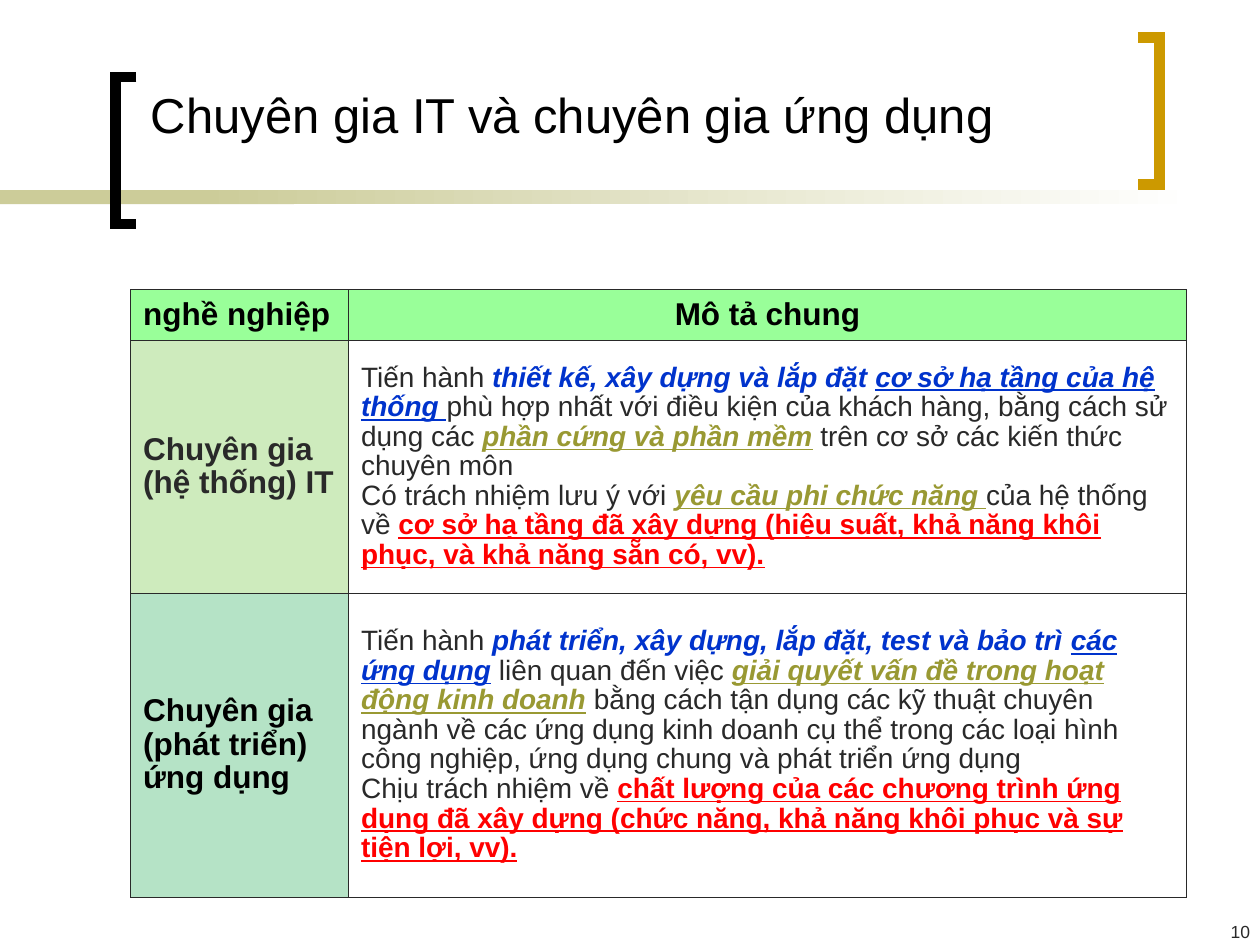
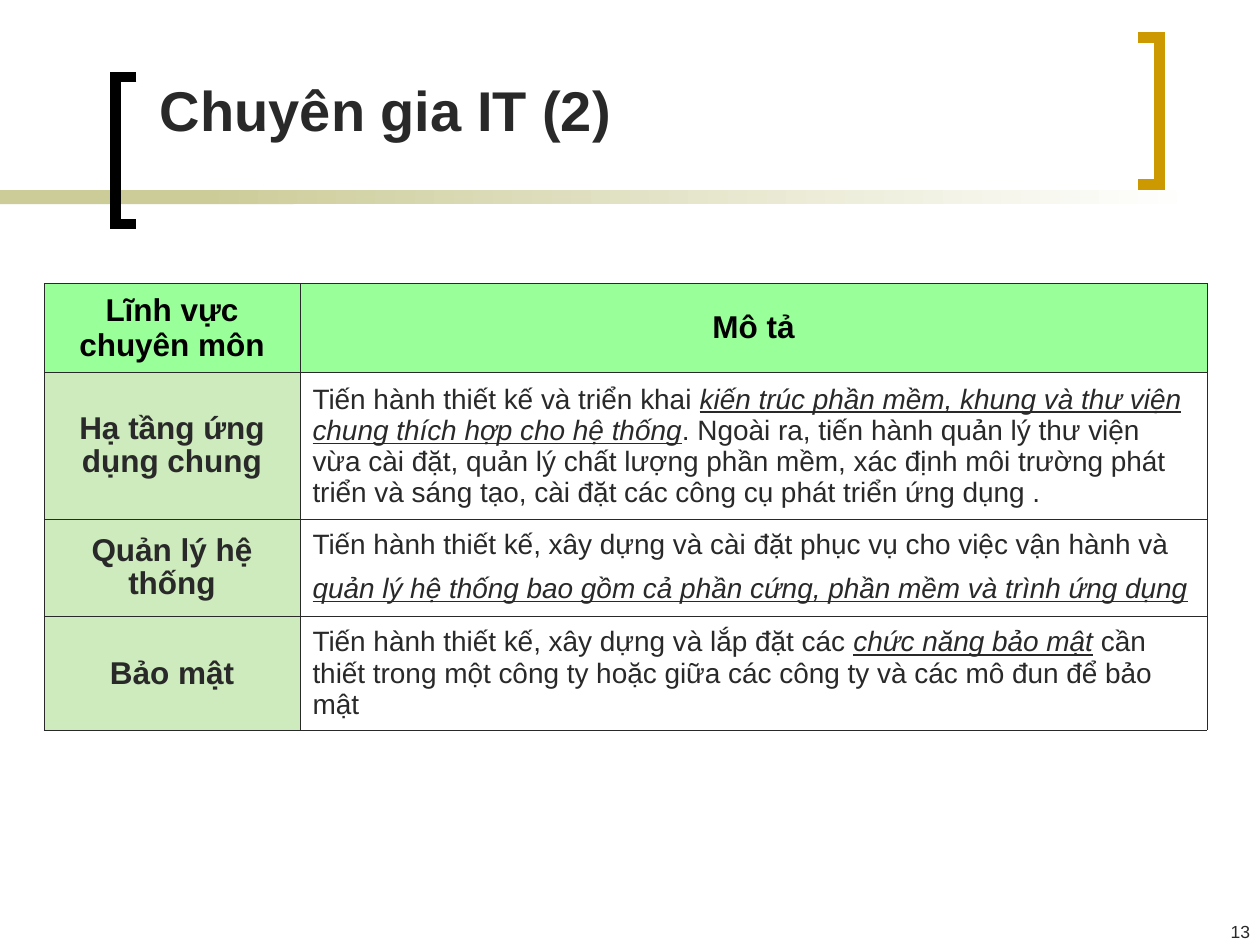
from dataclasses import dataclass
from lxml import etree
from pptx import Presentation
from pptx.dml.color import RGBColor
from pptx.enum.shapes import MSO_SHAPE
from pptx.enum.text import MSO_ANCHOR, MSO_AUTO_SIZE, PP_ALIGN
from pptx.oxml.ns import qn
from pptx.util import Pt

RECT = MSO_SHAPE.RECTANGLE
MIDDLE = MSO_ANCHOR.MIDDLE
NO_FIT = MSO_AUTO_SIZE.NONE
LEFT, CENTER, RIGHT = PP_ALIGN.LEFT, PP_ALIGN.CENTER, PP_ALIGN.RIGHT
TITLE_ONLY = 5


@dataclass(frozen=True)
class Theme:
    font: str = "Arial"
    black: str = "000000"
    ink: str = "292929"
    white: str = "FFFFFF"
    khaki: str = "CCCC99"
    gold: str = "CC9900"
    blue: str = "0033CC"
    olive: str = "999933"
    red: str = "FF0000"
    header: str = "99FF99"
    light_green: str = "CEEBBD"
    mint: str = "B5E3C6"
    title_size: int = 28
    big_title_size: int = 32
    tail_size: int = 24
    head_size: int = 18
    body_size: int = 16
    number_size: int = 10
    border: float = 0.45
    bracket: int = 6


T = Theme()

# Named looks of text runs; each overrides the base format of its cell
LOOKS = {
    "task": dict(color=T.blue, bold=True, italic=True),
    "object": dict(color=T.blue, bold=True, italic=True, underline=True),
    "key": dict(color=T.olive, bold=True, italic=True, underline=True),
    "duty": dict(color=T.red, bold=True, underline=True),
    "term": dict(italic=True, underline=True),
    "tail": dict(italic=True, underline=True, size=T.tail_size),
}


class Deck:
    def __init__(self, theme):
        self.t = theme
        self.prs = Presentation()
        self.prs.slide_width, self.prs.slide_height = Pt(720), Pt(540)

    def new_slide(self, number):
        self.s = self.prs.slides.add_slide(self.prs.slide_layouts[TITLE_ONLY])
        self.band(0, 168, self.t.khaki)
        self.band(114, 570, self.t.khaki, self.t.white)
        self.bracket(66, 44, 12, self.t.black)
        self.bracket(662.5, 21.5, -12, self.t.gold)
        self.page_number(number)

    def add_runs(self, p, runs, **base):
        """Fill a paragraph with plain strings and (text, look) pairs."""
        for run in runs:
            text, look = (run, None) if isinstance(run, str) else run
            r = p.add_run()
            r.text = text
            fmt = {"name": self.t.font, "color": self.t.ink, **base, **LOOKS.get(look, {})}
            fmt["size"] = Pt(fmt["size"])
            r.font.color.rgb = RGBColor.from_string(fmt.pop("color"))
            for name, value in fmt.items():
                setattr(r.font, name, value)

    def band(self, x, w, *colors):
        """Horizontal rule; two colours make a left-to-right fade."""
        sp = self.s.shapes.add_shape(RECT, Pt(x), Pt(108.7), Pt(w), Pt(8))
        sp.shadow.inherit = False
        sp.line.fill.background()
        if len(colors) == 1:
            sp.fill.solid()
            sp.fill.fore_color.rgb = RGBColor.from_string(colors[0])
            return
        sp.fill.gradient()
        sp.fill.gradient_angle = 0
        for stop, color in zip(sp.fill.gradient_stops, colors):
            stop.color.rgb = RGBColor.from_string(color)

    def bracket(self, x, y, arm, color, h=84):
        """Square bracket with its spine at x; the sign of arm is its side."""
        fb = self.s.shapes.build_freeform(Pt(x + arm), Pt(y))
        corners = [(x, y), (x, y + h), (x + arm, y + h)]
        fb.add_line_segments([(Pt(a), Pt(b)) for a, b in corners], close=False)
        sp = fb.convert_to_shape()
        sp.shadow.inherit = False
        sp.fill.background()
        sp.line.width = Pt(self.t.bracket)
        sp.line.color.rgb = RGBColor.from_string(color)
        ln = sp.element.spPr.find(qn("a:ln"))
        etree.SubElement(ln, qn("a:miter"), lim="800000")

    def page_number(self, number):
        tf = self.s.shapes.add_textbox(Pt(574), Pt(522.7), Pt(147.4), Pt(17.3)).text_frame
        tf.word_wrap = True
        p = tf.paragraphs[0]
        p.alignment = RIGHT
        self.add_runs(p, [str(number)], size=self.t.number_size)

    def title(self, text, box, align, **base):
        sp = self.s.shapes.title
        sp.left, sp.top, sp.width, sp.height = map(Pt, box)
        tf = sp.text_frame
        tf.auto_size, tf.vertical_anchor = NO_FIT, MIDDLE
        p = tf.paragraphs[0]
        p.alignment = align
        self.add_runs(p, [text], **base)

    def cell(self, cell, paragraphs, fill, align=LEFT, spacing=None, **base):
        tc_pr = cell._tc.get_or_add_tcPr()
        for side in ("lnL", "lnR", "lnT", "lnB"):
            ln = etree.SubElement(tc_pr, qn(f"a:{side}"), w=str(int(Pt(self.t.border))))
            solid = etree.SubElement(ln, qn("a:solidFill"))
            etree.SubElement(solid, qn("a:srgbClr"), val=self.t.ink)
        cell.fill.solid()
        cell.fill.fore_color.rgb = RGBColor.from_string(fill)
        cell.vertical_anchor = MIDDLE
        tf = cell.text_frame
        for i, runs in enumerate(paragraphs):
            p = tf.add_paragraph() if i else tf.paragraphs[0]
            p.alignment = align
            if spacing:
                p.line_spacing = spacing
            self.add_runs(p, runs, **base)

    def table(self, x, y, widths, heights, headers, rows, aligns, spacing=None):
        """Rows are (label, label fill, label colour, label spacing, paragraphs)."""
        tbl = self.s.shapes.add_table(len(heights), len(widths), Pt(x), Pt(y),
                                      Pt(sum(widths)), Pt(sum(heights))).table
        tbl.first_row = tbl.horz_banding = False
        for col, w in zip(tbl.columns, widths):
            col.width = Pt(w)
        for row, h in zip(tbl.rows, heights):
            row.height = Pt(h)
        head = dict(size=self.t.head_size, bold=True)
        for c, (text, align) in enumerate(zip(headers, aligns)):
            self.cell(tbl.cell(0, c), [[text]], self.t.header, align,
                      color=self.t.black, **head)
        for i, (label, fill, color, label_spacing, paragraphs) in enumerate(rows, 1):
            self.cell(tbl.cell(i, 0), [[label]], fill, aligns[0], label_spacing,
                      color=color, **head)
            self.cell(tbl.cell(i, 1), paragraphs, self.t.white, LEFT, spacing,
                      size=self.t.body_size)


def main():
    deck = Deck(T)

    # IT specialists and application specialists
    deck.new_slide(10)
    deck.title("Chuyên gia IT và chuyên gia ứng dụng", (20.2, 25.9, 613.4, 78.5), CENTER,
               size=T.title_size, color=T.black)
    it_role = [
        ["Tiến hành ", ("thiết kế, xây dựng và lắp đặt ", "task"),
         ("cơ sở hạ tầng của hệ thống ", "object"),
         "phù hợp nhất với điều kiện của khách hàng, bằng cách sử dụng các ",
         ("phần cứng và phần mềm", "key"), " trên cơ sở các kiến thức chuyên môn"],
        ["Có trách nhiệm lưu ý với ", ("yêu cầu phi chức năng ", "key"), "của hệ thống về ",
         ("cơ sở hạ tầng đã xây dựng (hiệu suất, khả năng khôi phục, "
          "và khả năng sẵn có, vv).", "duty")],
    ]
    application_role = [
        ["Tiến hành ", ("phát triển, xây dựng, lắp đặt, test và bảo trì ", "task"),
         ("các ứng dụng", "object"), " liên quan đến việc ",
         ("giải quyết vấn đề trong hoạt động kinh doanh", "key"),
         " bằng cách tận dụng các kỹ thuật chuyên ngành về các ứng dụng kinh doanh cụ thể "
         "trong các loại hình công nghiệp, ứng dụng chung và phát triển ứng dụng"],
        ["Chịu trách nhiệm về ",
         ("chất lượng của các chương trình ứng dụng đã xây dựng (chức năng, "
          "khả năng khôi phục và sự tiện lợi, vv).", "duty")],
    ]
    deck.table(74.6, 165.6, (124.6, 478.8), (28.8, 144.7, 173.5),
               ("nghề nghiệp", "Mô tả chung"),
               [("Chuyên gia (hệ thống) IT", T.light_green, T.ink, 0.95, it_role),
                ("Chuyên gia (phát triển) ứng dụng", T.mint, T.black, 0.95,
                 application_role)],
               (LEFT, CENTER), spacing=0.95)

    # Fields of the IT specialist
    deck.new_slide(13)
    deck.title("Chuyên gia IT (2)", (84.2, 37.4, 528.5, 49.7), LEFT,
               size=T.big_title_size, bold=True)
    infrastructure = [
        "Tiến hành thiết kế và triển khai ",
        ("kiến trúc phần mềm, khung và thư viện chung thích hợp cho hệ thống", "term"),
        ". Ngoài ra, tiến hành quản lý thư viện vừa cài đặt, quản lý chất lượng phần mềm, "
        "xác định môi trường phát triển và sáng tạo, cài đặt các công cụ phát triển "
        "ứng dụng ."]
    management = [
        "Tiến hành thiết kế, xây dựng và cài đặt phục vụ cho việc vận hành và ",
        ("quản lý hệ thống bao gồm cả phần cứng, phần mềm và trình ứng dụng", "term"),
        (" ", "tail")]
    security = [
        "Tiến hành thiết kế, xây dựng và lắp đặt các ", ("chức năng bảo mật", "term"),
        " cần thiết trong một công ty hoặc giữa các công ty và các mô đun để bảo mật"]
    fields = [("Hạ tầng ứng dụng chung", 0.95, infrastructure),
              ("Quản lý hệ thống", 0.95, management),
              ("Bảo mật", None, security)]
    deck.table(25.2, 162, (146.2, 518.4), (50.8, 84.2, 55.4, 64.8),
               ("Lĩnh vực chuyên môn", "Mô tả"),
               [(label, T.light_green, T.ink, spacing, [runs])
                for label, spacing, runs in fields],
               (CENTER, CENTER))

    deck.prs.save("out.pptx")


if __name__ == "__main__":
    main()
